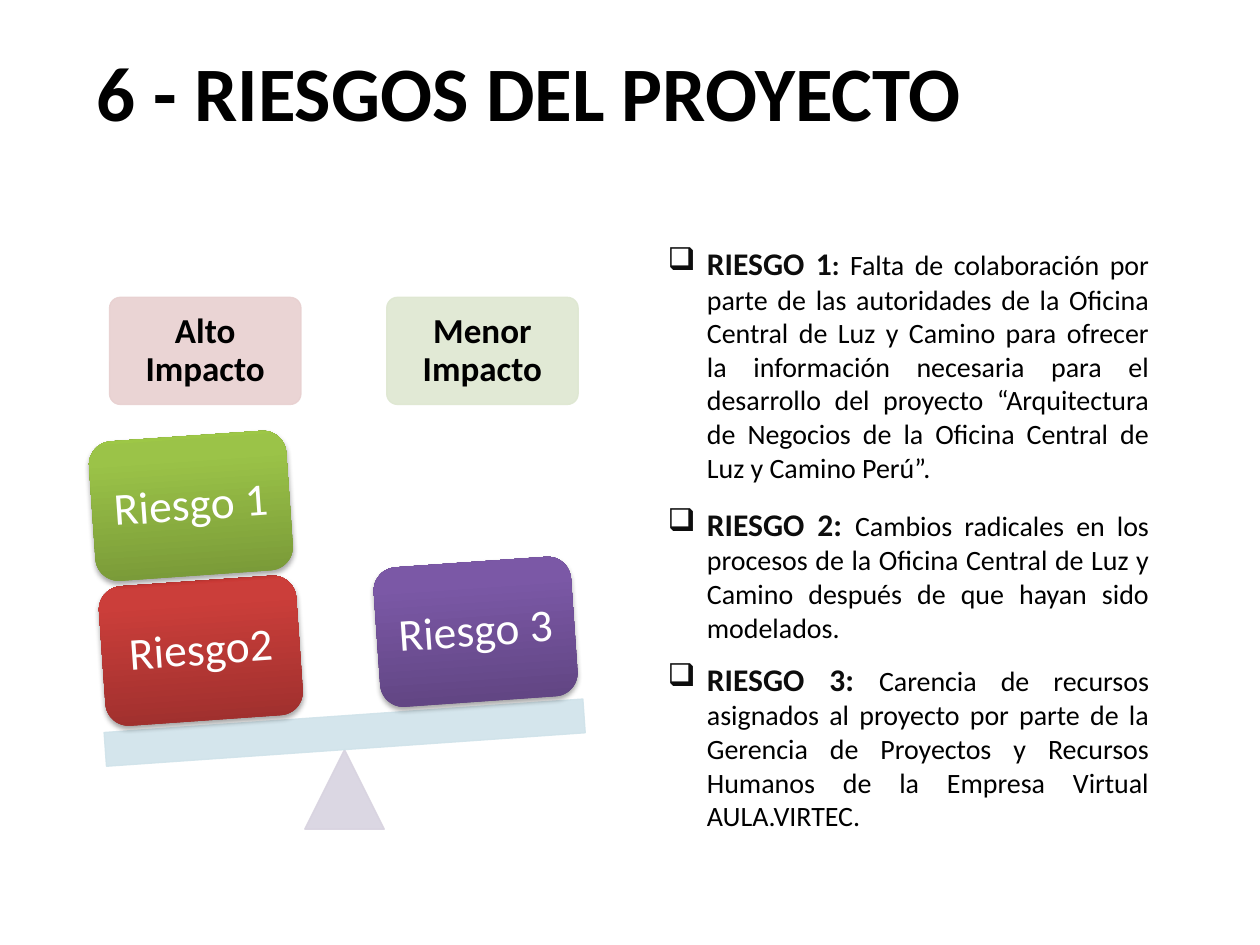
from lxml import etree
from pptx import Presentation
from pptx.dml.color import RGBColor
from pptx.enum import shapes, text
from pptx.oxml import parse_xml
from pptx.oxml.ns import qn
from pptx.util import Pt

NS = 'xmlns:a="http://schemas.openxmlformats.org/drawingml/2006/main"'
MSO = shapes.MSO_SHAPE


def rgb(h):
    return RGBColor.from_string(h)


def style(r, size, color, bold=False):
    r.font.name, r.font.size, r.font.bold = "Calibri", Pt(size), bold
    r.font.color.rgb = rgb(color)


prs = Presentation()
prs.slide_width, prs.slide_height = Pt(720), Pt(540)
s = prs.slides.add_slide(prs.slide_layouts[5])

title = s.shapes.title
title.left, title.top, title.width, title.height = Pt(48.2), Pt(20.2), Pt(643.7), Pt(72)
tf = title.text_frame
tf.text = "6 - RIESGOS DEL PROYECTO"
tf.vertical_anchor = text.MSO_ANCHOR.TOP
tf.margin_top = Pt(5)
tf.paragraphs[0].alignment = text.PP_ALIGN.LEFT
style(tf.paragraphs[0].runs[0], 44, "000000", True)

pale = [
    (MSO.ROUNDED_RECTANGLE, 62.6, 169.9, 109.4, 61.2, 0, "E8D0D0", "Alto Impacto"),
    (MSO.ROUNDED_RECTANGLE, 221, 169.9, 109.4, 61.2, 0, "DEE7D1", "Menor Impacto"),
    (MSO.ISOSCELES_TRIANGLE, 174.2, 428.4, 45.4, 45.4, 0, "D8D3E0", ""),
    (MSO.RECTANGLE, 59.8, 409, 274.3, 19.4, -4, "D0E3EA", ""),
]
for kind, x, y, w, h, angle, color, label in pale:
    sp = s.shapes.add_shape(kind, Pt(x), Pt(y), Pt(w), Pt(h))
    sp.shadow.inherit = False
    sp.rotation = angle
    sp.fill.solid()
    sp.fill.fore_color.rgb = rgb(color)
    sp.line.color.rgb = rgb(color)
    sp.line.width = Pt(0.75)
    for clr in sp._element.spPr.iter(qn("a:srgbClr")):
        etree.SubElement(clr, qn("a:alpha"), val="90000")
    if label:
        sp.adjustments[0] = 0.1
        tf = sp.text_frame
        tf.text = label
        tf.word_wrap = True
        tf.vertical_anchor = text.MSO_ANCHOR.MIDDLE
        p = tf.paragraphs[0]
        p.alignment, p.line_spacing = text.PP_ALIGN.CENTER, 0.9
        style(p.runs[0], 20, "000000", True)

blocks = [
    (58.3, 331.9, "Riesgo2", ("9C2F2D", "CB3E3A", "CE3B37")),
    (52.6, 249.1, "Riesgo 1", ("779737", "9BC348", "9DC746")),
    (215.3, 321.1, "Riesgo 3", ("5F4480", "7B58A6", "7C57A8")),
]
for x, y, label, colors in blocks:
    sp = s.shapes.add_shape(MSO.ROUNDED_RECTANGLE, Pt(x), Pt(y), Pt(113), Pt(79.9))
    sp.rotation = -4
    sp.line.fill.background()
    stops = "".join(
        f'<a:gs pos="{pos}"><a:srgbClr val="{c}"/></a:gs>'
        for pos, c in zip((0, 80000, 100000), colors)
    )
    sp._element.spPr.find(qn("a:prstGeom")).addnext(parse_xml(
        f'<a:gradFill {NS} rotWithShape="1"><a:gsLst>{stops}</a:gsLst>'
        '<a:lin ang="16200000" scaled="0"/></a:gradFill>'))
    sp._element.spPr.append(parse_xml(
        f'<a:effectLst {NS}><a:outerShdw blurRad="{Pt(3.1)}" dist="{Pt(1.8)}" dir="5400000" '
        'rotWithShape="0"><a:srgbClr val="000000"><a:alpha val="35000"/></a:srgbClr>'
        '</a:outerShdw></a:effectLst>'))
    tf = sp.text_frame
    tf.text = label
    tf.word_wrap = True
    tf.vertical_anchor = text.MSO_ANCHOR.MIDDLE
    p = tf.paragraphs[0]
    p.alignment, p.line_spacing = text.PP_ALIGN.CENTER, 0.9
    style(p.runs[0], 26, "FFFFFF")

risks = [
    (136.1, 145.4, "RIESGO 1", ": ",
     "Falta de colaboración por parte de las autoridades de la Oficina Central de Luz y Camino "
     "para ofrecer la información necesaria para el desarrollo del proyecto “Arquitectura de "
     "Negocios de la Oficina Central de Luz y Camino Perú”."),
    (285.1, 87.1, "RIESGO 2: ", "",
     "Cambios radicales en los procesos de la Oficina Central de Luz y Camino después de que "
     "hayan sido modelados."),
    (373.7, 128.2, "RIESGO 3: ", "",
     "Carencia de recursos asignados al proyecto por parte de la Gerencia de Proyectos y "
     "Recursos Humanos de la Empresa Virtual AULA.VIRTEC."),
]
for y, h, head, colon, body in risks:
    tf = s.shapes.add_textbox(Pt(374.4), Pt(y), Pt(289.4), Pt(h)).text_frame
    tf.word_wrap = True
    p = tf.paragraphs[0]
    p.alignment = text.PP_ALIGN.JUSTIFY
    pPr = p._p.get_or_add_pPr()
    pPr.set("marL", str(Pt(22.5)))
    pPr.set("indent", str(Pt(-22.5)))
    etree.SubElement(pPr, qn("a:buChar"), char="❑")
    for part, size, color, bold in ((head, 18, "0D0D0D", True),
                                    (colon, 16, "0D0D0D", True),
                                    (body, 16, "000000", False)):
        if part:
            r = p.add_run()
            r.text = part
            style(r, size, color, bold)

prs.save("out.pptx")
